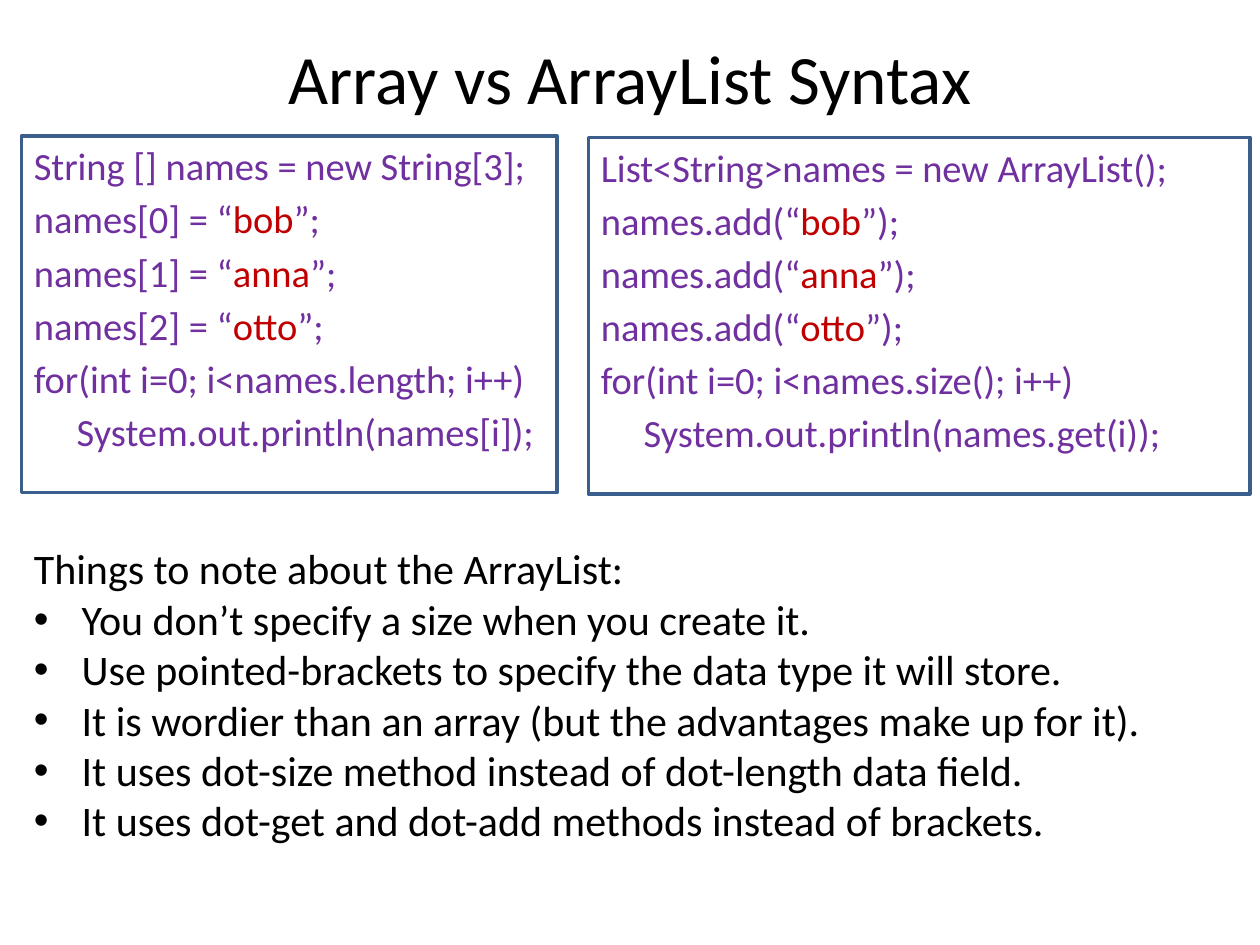
from dataclasses import dataclass

from lxml import etree
from pptx import Presentation
from pptx import util as u
from pptx.dml import color
from pptx.enum import shapes, text
from pptx.oxml import ns


@dataclass(frozen=True)
class Theme:
    font: str = "Calibri"
    ink: str = "000000"
    code: str = "7030A0"
    literal: str = "C00000"
    border: str = "3A5F8C"
    title_size: float = 39.6
    code_size: float = 22
    note_size: float = 24
    code_gap: float = 4
    border_width: float = 2


THEME = Theme()
NAMES = ("bob", "anna", "otto")


def add_text_box(page, area):
    box = page.shapes.add_textbox(*(u.Inches(length) for length in area))
    box.text_frame.word_wrap = True
    return box


def add_span(para, words, size, tint):
    span = para.add_run()
    span.text = words
    span.font.name = THEME.font
    span.font.size = u.Pt(size)
    span.font.color.rgb = color.RGBColor.from_string(tint)


def add_para(frame, index):
    return frame.add_paragraph() if index else frame.paragraphs[0]


def indent(para, left, first=0):
    properties = para._p.get_or_add_pPr()
    properties.set("marL", str(u.Inches(left)))
    properties.set("indent", str(u.Inches(first)))
    return properties


def add_title(page, area, words):
    frame = add_text_box(page, area).text_frame
    frame.vertical_anchor = text.MSO_ANCHOR.MIDDLE
    para = frame.paragraphs[0]
    para.alignment = text.PP_ALIGN.CENTER
    add_span(para, words, THEME.title_size, THEME.ink)


def add_code_panel(page, area, declaration, fills, loop, output):
    left, top, width, height = area
    frame = add_text_box(page, (left, top, width, height + 0.34)).text_frame
    lines = [(declaration,), *fills, (loop,), (output,)]
    for index, pieces in enumerate(lines):
        para = add_para(frame, index)
        if index:
            para.space_before = u.Pt(THEME.code_gap)
        for piece in pieces:
            tint = THEME.literal if piece in NAMES else THEME.code
            add_span(para, piece, THEME.code_size, tint)
    indent(para, 0.34)

    border = page.shapes.add_shape(
        shapes.MSO_SHAPE.RECTANGLE, *(u.Inches(length) for length in area))
    border.shadow.inherit = False
    border.fill.background()
    border.line.color.rgb = color.RGBColor.from_string(THEME.border)
    border.line.width = u.Pt(THEME.border_width)


def add_notes_list(page, area, heading, points):
    frame = add_text_box(page, area).text_frame
    for index, words in enumerate([heading, *points]):
        para = add_para(frame, index)
        add_span(para, words, THEME.note_size, THEME.ink)
        if index:
            properties = indent(para, 0.38, -0.38)
            font = etree.SubElement(properties, ns.qn("a:buFont"))
            font.set("typeface", "Arial")
            bullet = etree.SubElement(properties, ns.qn("a:buChar"))
            bullet.set("char", "•")


def main():
    deck = Presentation()
    deck.slide_width = u.Inches(10)
    deck.slide_height = u.Inches(7.5)
    page = deck.slides.add_slide(deck.slide_layouts[6])

    add_title(page, (0.5, 0.3, 9, 0.62), "Array vs ArrayList Syntax")
    add_code_panel(
        page, (0.17, 1.08, 4.25, 2.83),
        "String [] names = new String[3];",
        [(f"names[{index}] = “", name, "”;") for index, name in enumerate(NAMES)],
        "for(int i=0; i<names.length; i++)",
        "System.out.println(names[i]);")
    add_code_panel(
        page, (4.67, 1.09, 5.25, 2.83),
        "List<String>names = new ArrayList();",
        [("names.add(“", name, "”);") for name in NAMES],
        "for(int i=0; i<names.size(); i++)",
        "System.out.println(names.get(i));")
    add_notes_list(
        page, (0.17, 4.26, 9.75, 2.52),
        "Things to note about the ArrayList:",
        ["You don’t specify a size when you create it.",
         "Use pointed-brackets to specify the data type it will store.",
         "It is wordier than an array (but the advantages make up for it).",
         "It uses dot-size method instead of dot-length data field.",
         "It uses dot-get and dot-add methods instead of brackets."])

    deck.save("out.pptx")


if __name__ == "__main__":
    main()
